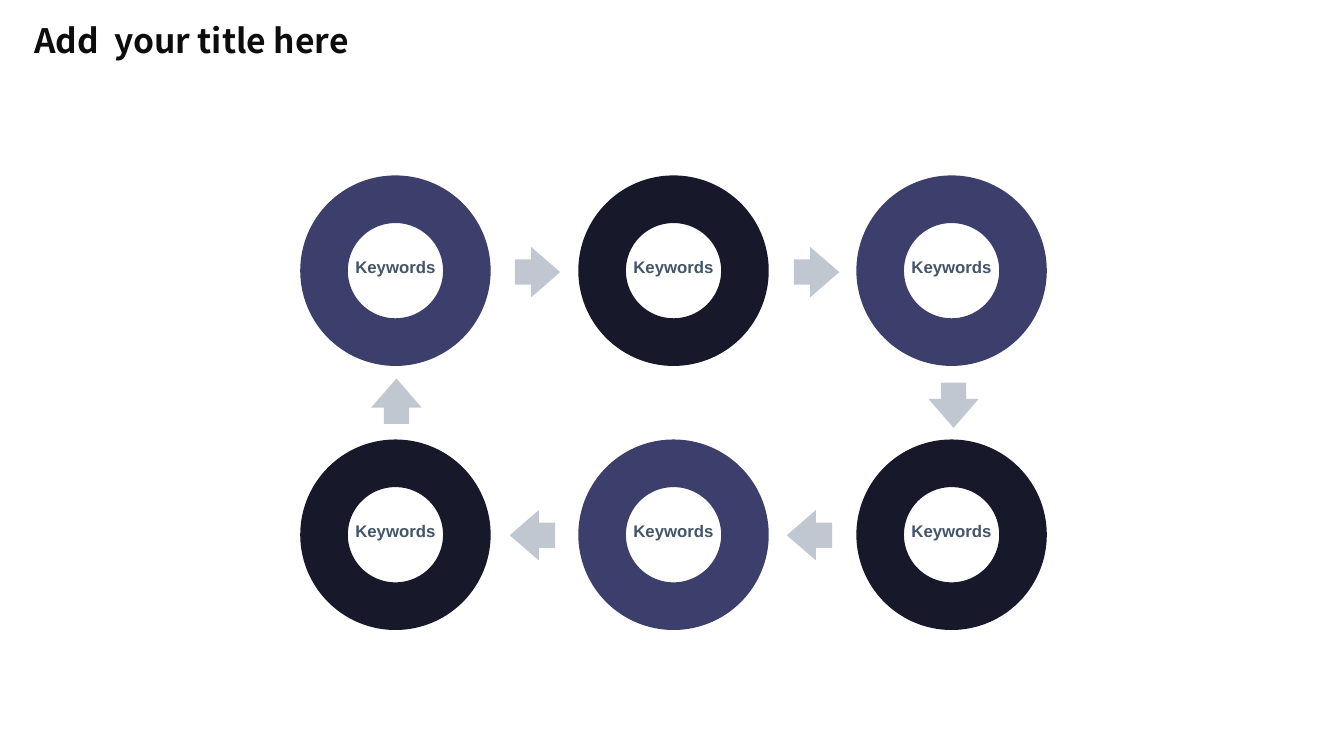
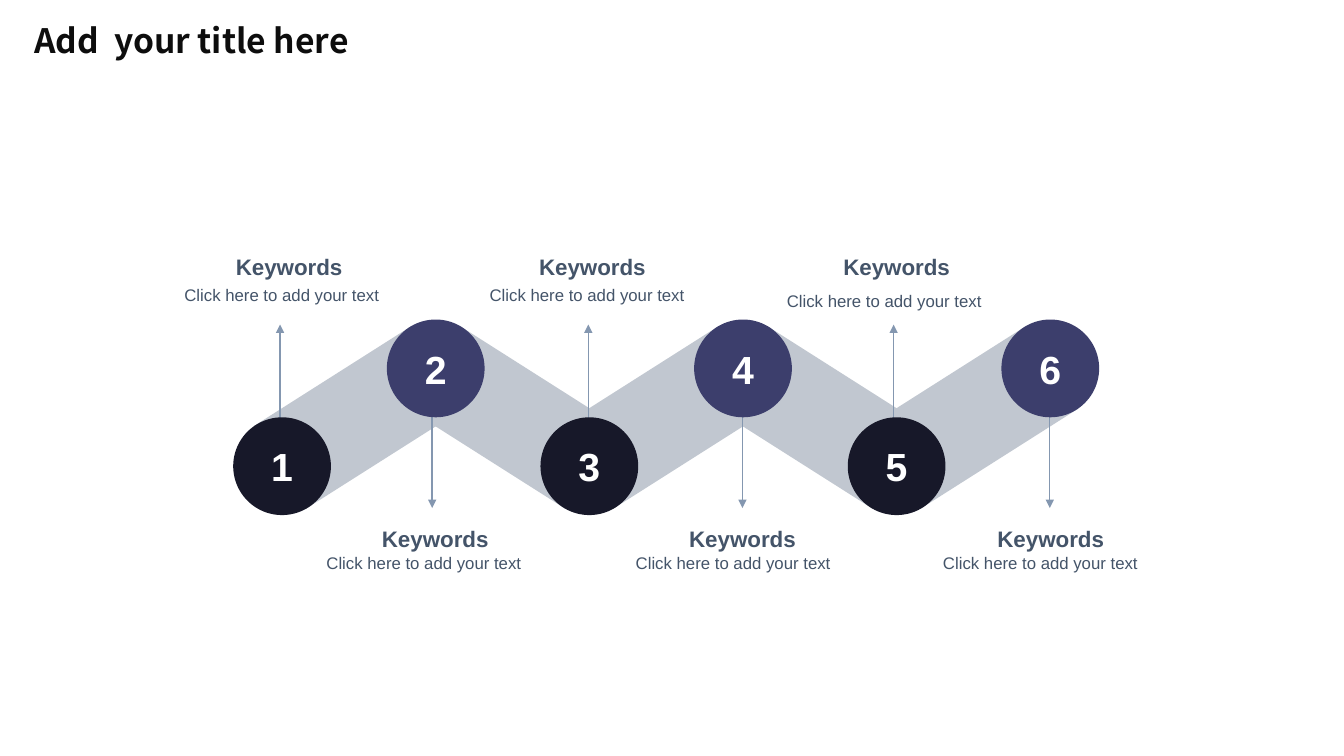
from dataclasses import dataclass
from typing import NamedTuple

from lxml import etree
from pptx import Presentation
from pptx.dml.color import RGBColor
from pptx.enum.shapes import MSO_CONNECTOR, MSO_SHAPE
from pptx.enum.text import MSO_ANCHOR, MSO_AUTO_SIZE, PP_ALIGN
from pptx.oxml.ns import qn
from pptx.shapes.autoshape import Shape
from pptx.slide import Slide
from pptx.util import Inches, Pt

RING, ARROW = MSO_SHAPE.DONUT, MSO_SHAPE.RIGHT_ARROW
DISC, BAR = MSO_SHAPE.OVAL, MSO_SHAPE.RECTANGLE
LEFT, CENTER = PP_ALIGN.LEFT, PP_ALIGN.CENTER
MIDDLE = MSO_ANCHOR.MIDDLE
GROW = MSO_AUTO_SIZE.SHAPE_TO_FIT_TEXT
STRAIGHT = MSO_CONNECTOR.STRAIGHT


class Style(NamedTuple):
    size: int
    color: str
    bold: bool = True
    align: PP_ALIGN = CENTER
    font: str = "Arial"


@dataclass(frozen=True)
class Theme:
    dark: str = "171829"
    violet: str = "3C3E6C"
    gray: str = "C1C7D0"
    line: str = "8497B0"
    title: Style = Style(24, "0D0D0D", align=LEFT, font="Noto Sans CJK SC")
    label: Style = Style(12, "445469")
    head: Style = Style(16, "445469")
    note: Style = Style(12, "445469", bold=False, align=LEFT)
    digit: Style = Style(28, "FFFFFF")


class Box(NamedTuple):
    left: float
    top: float
    width: float
    height: float


class Turn(NamedTuple):
    left: float
    top: float
    angle: int


class Step(NamedTuple):
    arrow: float
    head: float
    note: float
    top: float


THEME = Theme()
TITLE = "Add  your title here"
KEY = "Keywords"
NOTE = "Click here to add your text"

# Arrows of the cycle, clockwise from the top left
TURNS = [
    Turn(5.11, 2.45, 0), Turn(7.88, 2.45, 0), Turn(9.24, 3.77, 90),
    Turn(7.81, 5.06, 180), Turn(5.06, 5.06, 180), Turn(3.71, 3.73, 270),
]

# Arrow x, heading centre, note left and note top of each step
STEPS = [
    Step(2.78, 2.87, 1.83, 2.82), Step(4.29, 4.32, 3.24, 5.48),
    Step(5.84, 5.88, 4.86, 2.82), Step(7.37, 7.37, 6.31, 5.48),
    Step(8.87, 8.9, 7.81, 2.88), Step(10.42, 10.43, 9.36, 5.48),
]


# Shared helpers
def write(shape: Shape, text: str, style: Style) -> None:
    para = shape.text_frame.paragraphs[0]
    para.text = text
    para.alignment = style.align
    font = para.runs[0].font
    font.name, font.size, font.bold = style.font, Pt(style.size), style.bold
    font.color.rgb = RGBColor.from_string(style.color)


def add_text(slide: Slide, box: Box, text: str, style: Style,
             inset: tuple[float, float] = (0, 0)) -> None:
    shape = slide.shapes.add_textbox(*map(Inches, box))
    frame = shape.text_frame
    frame.word_wrap, frame.auto_size = True, GROW
    frame.margin_left = frame.margin_right = Inches(inset[0])
    frame.margin_top = frame.margin_bottom = Inches(inset[1])
    write(shape, text, style)


def add_form(slide: Slide, kind: MSO_SHAPE, box: Box, color: str,
             angle: float = 0) -> Shape:
    shape = slide.shapes.add_shape(kind, *map(Inches, box))
    shape.shadow.inherit = False
    shape.fill.solid()
    shape.fill.fore_color.rgb = RGBColor.from_string(color)
    shape.line.fill.background()
    shape.rotation = angle
    return shape


def add_line(slide: Slide, x: float, start: float, end: float) -> None:
    line = slide.shapes.add_connector(
        STRAIGHT, Inches(x), Inches(start), Inches(x), Inches(end))
    line.line.color.rgb = RGBColor.from_string(THEME.line)
    line.line.width = Pt(1)
    props = line.element.spPr
    etree.SubElement(props.find(qn("a:ln")), qn("a:tailEnd"), type="triangle")
    etree.SubElement(props, qn("a:effectLst"))


def add_slide(deck: Presentation) -> Slide:
    slide = deck.slides.add_slide(deck.slide_layouts[6])
    add_text(slide, Box(0.24, 0.15, 3.87, 0.5), TITLE, THEME.title, (0.1, 0.05))
    return slide


# Slide 1: six rings in a cycle
def draw_cycle(slide: Slide) -> None:
    size, width = 1.89, 0.82
    for row, top in enumerate((1.74, 4.36)):
        for col in range(3):
            left = 2.98 + 2.76 * col
            color = THEME.dark if (row + col) % 2 else THEME.violet
            ring = add_form(slide, RING, Box(left, top, size, size), color)
            ring.adjustments[0] = 0.25
            spot = Box(left + (size - width) / 2, top + 0.81, width, 0.2)
            add_text(slide, spot, KEY, THEME.label)
    for turn in TURNS:
        box = Box(turn.left, turn.top, 0.45, 0.5)
        arrow = add_form(slide, ARROW, box, THEME.gray, turn.angle)
        arrow.adjustments[0], arrow.adjustments[1] = 0.5, 0.64


# Slide 2: six steps on a zigzag band
def draw_zigzag(slide: Slide) -> None:
    size, length, width = 0.97, 1.85, 1.3
    first, pitch, mid = 2.8, 1.525, 4.14
    for i in range(len(STEPS) - 1):
        x = first + pitch * (i + 0.5)
        box = Box(x - size / 2, mid - length / 2, size, length)
        add_form(slide, BAR, box, THEME.gray, -57.6 if i % 2 else 57.6)
    for i, step in enumerate(STEPS):
        high = i % 2 == 1
        start, end = (3.55, 5.04) if high else (4.71, 3.22)
        add_line(slide, step.arrow, start, end)
        box = Box(first + pitch * i - size / 2, mid - size * high, size, size)
        disc = add_form(slide, DISC, box, THEME.violet if high else THEME.dark)
        disc.text_frame.vertical_anchor = MIDDLE
        write(disc, str(i + 1), THEME.digit)
        head = Box(step.head - width / 2, 5.21 if high else 2.51, width, 0.27)
        add_text(slide, head, KEY, THEME.head)
        add_text(slide, Box(step.note, step.top, 2.11, 0.2), NOTE, THEME.note)


def main() -> None:
    deck = Presentation()
    deck.slide_width, deck.slide_height = Inches(13.34), Inches(7.5)
    for draw in (draw_cycle, draw_zigzag):
        draw(add_slide(deck))
    deck.save("out.pptx")


if __name__ == "__main__":
    main()
